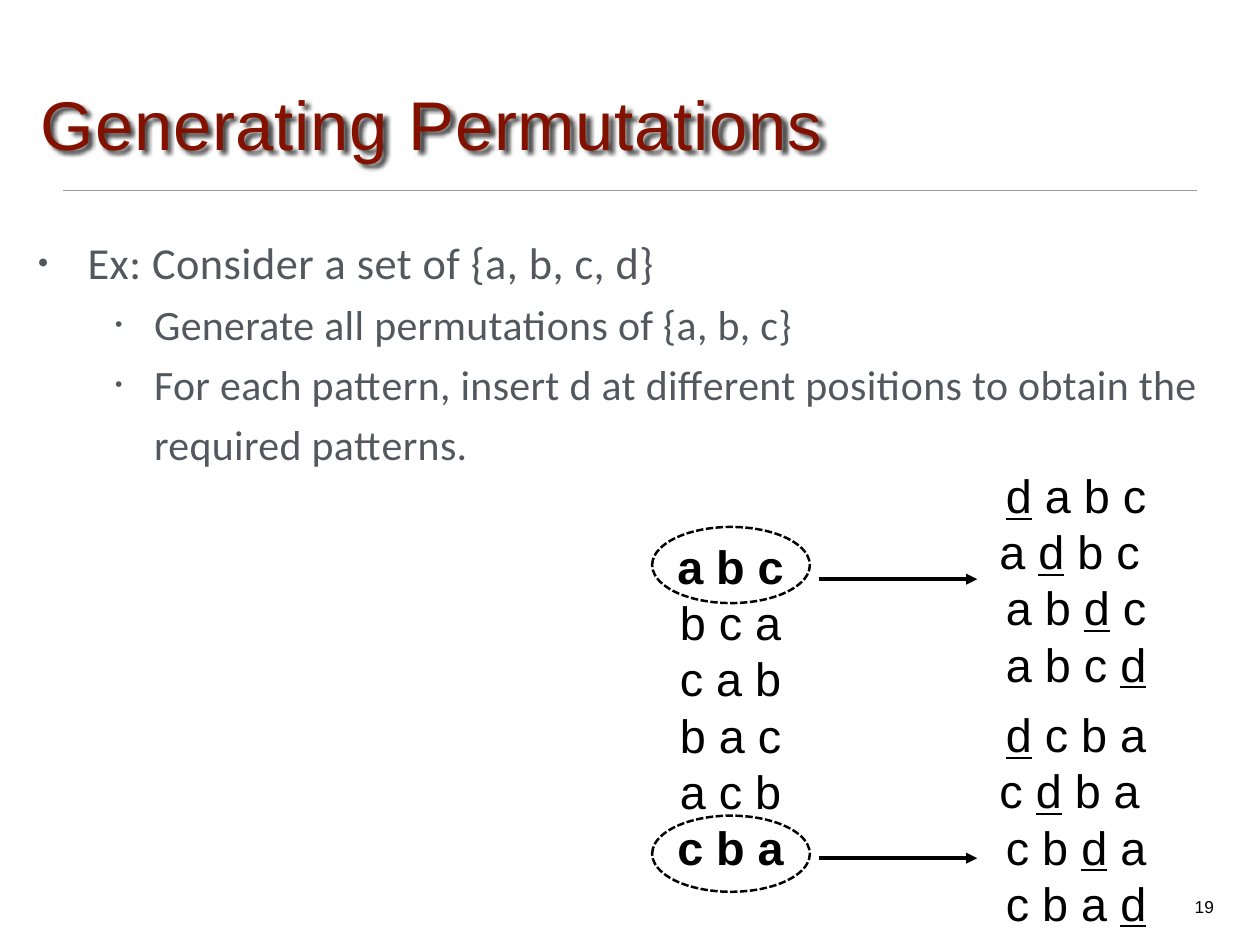
import dataclasses
import typing

import lxml.etree
import pptx
import pptx.dml.color
import pptx.enum.dml
import pptx.enum.shapes
import pptx.enum.text
import pptx.oxml
import pptx.oxml.ns
import pptx.util

Inches = pptx.util.Inches
Pt = pptx.util.Pt
ALIGN = pptx.enum.text.PP_ALIGN
ANCHOR = pptx.enum.text.MSO_ANCHOR

COLORS = {"title": "831100", "body": "53585F", "ink": "000000", "rule": "9A9A9A"}
INSERTED = "d"


@dataclasses.dataclass
class Line:
    text: str
    size: float
    font: str = "Arial"
    color: str = "ink"
    bold: bool = False
    align: ALIGN = ALIGN.LEFT
    tracking: int = 0
    level: int = 0
    margin: float = 0
    hanging: float = 0
    bullet_percent: int = 0
    spacing: float = 1.0
    before: float = 0
    mark_inserted: bool = False


@dataclasses.dataclass
class Block:
    left: float
    top: float
    width: float
    height: float
    lines: list[Line]
    inset: float = 0.06
    anchor: ANCHOR = ANCHOR.TOP
    fitted: bool = False


@dataclasses.dataclass
class Stroke:
    left: float
    right: float
    top: float
    color: str
    weight: float
    arrow: bool = False


def rgb(name: str) -> pptx.dml.color.RGBColor:
    return pptx.dml.color.RGBColor.from_string(COLORS[name])


def add_element(parent: typing.Any, tag: str, **attributes: str) -> typing.Any:
    return lxml.etree.SubElement(parent, pptx.oxml.ns.qn(tag), attributes)


def write_line(para: typing.Any, line: Line) -> None:
    para.alignment = line.align
    para.level = line.level
    para.line_spacing = line.spacing
    para.space_before = Pt(line.before)
    properties = para._p.get_or_add_pPr()
    if line.bullet_percent:
        properties.set("marL", str(Inches(line.margin)))
        properties.set("indent", str(Inches(-line.hanging)))
        add_element(properties, "a:buSzPct", val=str(line.bullet_percent * 1000))
        add_element(properties, "a:buFont", typeface="Arial")
        add_element(properties, "a:buChar", char="•")
    para.font.name = line.font
    para.font.size = Pt(line.size)
    para.font.bold = line.bold
    para.font.color.rgb = rgb(line.color)
    properties.find(pptx.oxml.ns.qn("a:defRPr")).set("spc", str(line.tracking))
    pieces = line.text.partition(INSERTED) if line.mark_inserted else (line.text,)
    for piece in filter(None, pieces):
        span = para.add_run()
        span.text = piece
        if line.mark_inserted and piece == INSERTED:
            span.font.underline = True


def add_block(page: typing.Any, block: Block) -> typing.Any:
    box = page.shapes.add_textbox(
        Inches(block.left), Inches(block.top), Inches(block.width), Inches(block.height)
    )
    frame = box.text_frame
    frame.word_wrap = not block.fitted
    if block.fitted:
        frame.auto_size = pptx.enum.text.MSO_AUTO_SIZE.SHAPE_TO_FIT_TEXT
    frame.vertical_anchor = block.anchor
    frame.margin_left = frame.margin_right = Inches(block.inset)
    frame.margin_top = frame.margin_bottom = Inches(block.inset)
    for index, line in enumerate(block.lines):
        write_line(frame.add_paragraph() if index else frame.paragraphs[0], line)
    return box


def add_text_shadow(box: typing.Any) -> None:
    effects = add_element(box._element.spPr, "a:effectLst")
    shadow = add_element(
        effects, "a:outerShdw", blurRad=str(Pt(3)), dist=str(Pt(3)), dir="2700000"
    )
    tint = add_element(shadow, "a:srgbClr", val=COLORS["ink"])
    add_element(tint, "a:alpha", val="75000")


def add_stroke(page: typing.Any, stroke: Stroke) -> None:
    connector = page.shapes.add_connector(
        pptx.enum.shapes.MSO_CONNECTOR.STRAIGHT,
        Inches(stroke.left), Inches(stroke.top), Inches(stroke.right), Inches(stroke.top),
    )
    connector.line.color.rgb = rgb(stroke.color)
    connector.line.width = Pt(stroke.weight)
    if stroke.arrow:
        add_element(connector.line._get_or_add_ln(), "a:tailEnd", type="triangle")
    add_element(connector._element.spPr, "a:effectLst")


def add_ring(page: typing.Any, top: float) -> None:
    ring = page.shapes.add_shape(
        pptx.enum.shapes.MSO_SHAPE.OVAL, Inches(7.36), Inches(top), Inches(1.78), Inches(0.86)
    )
    ring.shadow.inherit = False
    ring.fill.background()
    ring.line.color.rgb = rgb("ink")
    ring.line.width = Pt(2)
    ring.line.dash_style = pptx.enum.dml.MSO_LINE.SQUARE_DOT


def body_line(text: str) -> Line:
    return Line(text, 34, "Calibri", "body", tracking=30, level=1, margin=1.31,
                hanging=0.44, bullet_percent=50, spacing=1.2)


def pattern_block(left: float, top: float, width: float, height: float,
                  patterns: list[str], bold: tuple[str, ...] = ()) -> Block:
    lines = [
        Line(pattern, 38, bold=pattern in bold, align=ALIGN.CENTER, mark_inserted=True)
        for pattern in patterns
    ]
    return Block(left, top, width, height, lines, anchor=ANCHOR.MIDDLE, fitted=True)


TITLE = Block(
    0.42, 0.28, 13.4, 1.61,
    [Line("Generating Permutations", 56, color="title", tracking=60)],
    inset=0.04, anchor=ANCHOR.BOTTOM,
)
BLOCKS = [
    Block(0.43, 2.54, 13.4, 7.68, [
        Line("Ex: Consider a set of {a, b, c, d}", 36, "Calibri", "body", tracking=40,
             margin=0.56, hanging=0.56, bullet_percent=65, spacing=1.2, before=15),
        body_line("Generate all permutations of {a, b, c}"),
        body_line("For each pattern, insert d at different positions to obtain the "
                  "required patterns."),
    ], inset=0),
    Block(13.42, 10.06, 0.34, 0.33, [Line("19", 14, align=ALIGN.RIGHT)], fitted=True),
    pattern_block(7.5, 6.04, 1.49, 3.87,
                  ["a b c", "b c a", "c a b", "b a c", "a c b", "c b a"],
                  bold=("a b c", "c b a")),
    pattern_block(11.12, 5.24, 2.05, 2.6, ["d a b c", "a d b c ", "a b d c", "a b c d"]),
    pattern_block(11.12, 7.94, 2.05, 2.6, ["d c b a", "c d b a ", "c b d a", "c b a d"]),
]
RING_TOPS = [9.21, 5.95]
RULE = Stroke(0.71, 13.51, 2.15, "rule", 1)
ARROWS = [Stroke(9.24, 11.03, top, "ink", 3, arrow=True) for top in (6.54, 9.69)]


def main() -> None:
    deck = pptx.Presentation()
    deck.slide_width = Inches(14.22)
    deck.slide_height = Inches(10.67)
    page = deck.slides.add_slide(deck.slide_layouts[6])
    add_stroke(page, RULE)
    add_text_shadow(add_block(page, TITLE))
    for block in BLOCKS:
        add_block(page, block)
    for top in RING_TOPS:
        add_ring(page, top)
    for arrow in ARROWS:
        add_stroke(page, arrow)
    deck.save("out.pptx")


if __name__ == "__main__":
    main()
